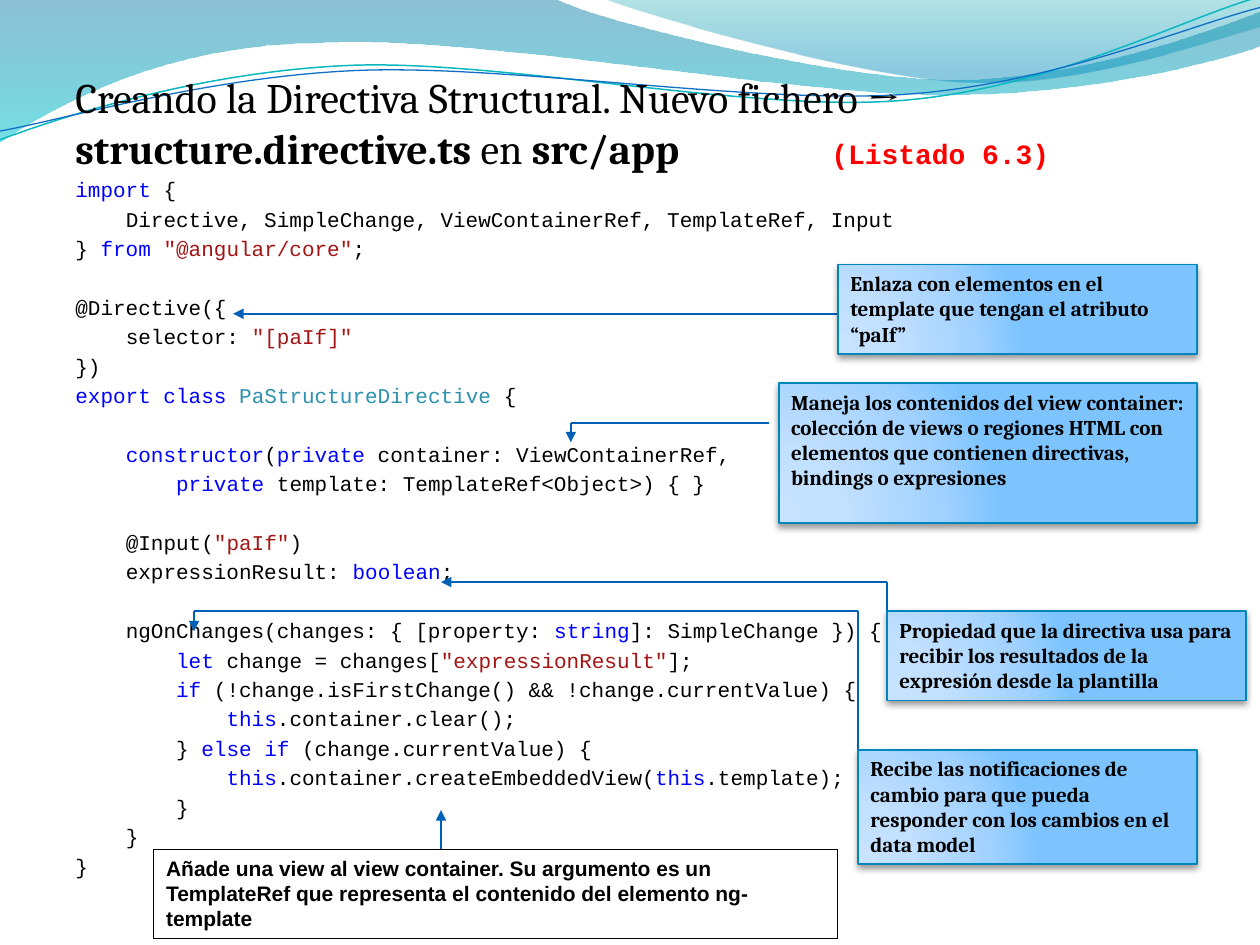
from itertools import pairwise

from pptx import Presentation
from pptx.dml.color import RGBColor
from pptx.enum.shapes import MSO_CONNECTOR, MSO_SHAPE
from pptx.enum.text import MSO_ANCHOR, PP_ALIGN
from pptx.oxml import parse_xml
from pptx.oxml.ns import nsdecls, qn
from pptx.util import Inches, Pt

COLORS = {
    "text": "000000", "keyword": "0000FF", "string": "A31515",
    "type": "2B91AF", "listing": "FF0000", "arrow": "0060B6",
    "callout": "0086BA", "teal": "0AB8BF", "blue": "0F6FC6",
}
NOTE_FILL = [(0, "C7E3FF", 100), (30, "C2E0FF", 100), (75, "A0D1FF", 100), (100, "7DC4FF", 100)]
NOTE_PATH = '<a:path path="circle"><a:fillToRect l="5000" t="100000" r="120000" b="10000"/></a:path>'
VERTICAL = '<a:lin ang="5400000" scaled="0"/>'
NOTE_SHADOW = (
    '<a:outerShdw blurRad="50800" dist="25400" dir="5400000" rotWithShape="0">'
    '<a:srgbClr val="000000"><a:alpha val="40000"/></a:srgbClr></a:outerShdw>'
)
WAVES = [
    ([(0, -0.01), (4.4, -0.01), (4.76, 0.17), (6.64, 0.63), (7.58, 0.63), (8.53, 0.63),
      (9.58, 0.26), (10, 0.09), (10.01, 0.36), (9.83, 0.44), (8.7, 0.76), (7.46, 0.75),
      (6.22, 0.75), (3.82, 0.28), (2.57, 0.34), (1.29, 0.35), (0.46, 0.83), (-0.01, 1.13)],
     "LCCLCCC", [(0, "0074A1", 45), (100, "00C6CF", 55)]),
    ([(4.79, -0.01), (5.09, 0.11), (6.82, 0.62), (7.69, 0.65), (8.56, 0.69), (9.61, 0.32),
      (10, 0.21), (10, 0)], "CCL", [(0, "00A1A9", 30), (80, "008BBF", 45)]),
]
STRANDS = [
    ([(0, 1.11), (0.48, 0.93), (1.58, 0.57), (2.77, 0.52), (3.95, 0.47), (5.93, 0.89),
      (7.13, 0.8), (8.33, 0.71), (9.38, 0.15), (9.98, -0.02)], "teal", 0.85),
    ([(0, 1.04), (0.47, 0.96), (1.64, 0.61), (2.83, 0.56), (4.03, 0.51), (5.97, 0.83),
      (7.17, 0.75), (8.36, 0.67), (9.41, 0.21), (10, 0.06)], "blue", 0.75),
]
HEADING = [
    ("Creando la Directiva Structural. Nuevo fichero → ", {}),
    ("structure.directive.ts ", {"bold": True}),
    ("en ", {}),
    ("src/app\t\t", {"bold": True}),
    ("(Listado 6.3)", {"bold": True, "size": Pt(16), "name": "Courier New", "color": "listing"}),
]
HEADING_TABS = (5, 6)
K, S, T = "keyword", "string", "type"
CODE_BLOCKS = [
    [(0, [("import", K), " {"]),
     (1, ["Directive, SimpleChange, ViewContainerRef, TemplateRef, Input"]),
     (0, ["} ", ("from ", K), ('"@angular/core"', S), ";"])],
    [(0, ["@Directive({"]),
     (1, ["selector: ", ('"[paIf]"', S)]),
     (0, ["})"]),
     (0, [("export class ", K), ("PaStructureDirective", T), " {"])],
    [(1, [("constructor", K), "(", ("private", K), " container: ViewContainerRef,"]),
     (2, [("private ", K), "template: TemplateRef<Object>) { }"])],
    [(1, ["@Input(", ('"paIf"', S), ")"]),
     (1, ["expressionResult: ", ("boolean", K), ";"])],
    [(1, ["ngOnChanges(changes: { [property: ", ("string", K), "]: SimpleChange }) {"]),
     (2, [("let ", K), "change = changes[", ('"expressionResult"', S), "];"]),
     (2, [("if", K), " (!change.isFirstChange() && !change.currentValue) {"]),
     (3, [("this", K), ".container.clear();"]),
     (2, ["} ", ("else if", K), " (change.currentValue) {"]),
     (3, [("this", K), ".container.createEmbeddedView(", ("this", K), ".template);"]),
     (2, ["}"]),
     (1, ["}"]),
     (0, ["}"])],
]
NOTES = [
    ((6.65, 2.1, 2.85, 0.71), "Enlaza con elementos en el template que tengan el atributo “paIf”"),
    ((7.04, 4.85, 2.85, 0.71),
     "Propiedad que la directiva usa para recibir los resultados de la expresión desde la plantilla"),
    ((6.81, 5.95, 2.69, 0.91),
     "Recibe las notificaciones de cambio para que pueda responder con los cambios en el data model"),
    ((6.18, 3.04, 3.32, 1.11),
     "Maneja los contenidos del view container: colección de views o regiones HTML con elementos "
     "que contienen directivas, bindings o expresiones"),
]
VIEW_NOTE = ((1.22, 6.74, 5.43, 0.71),
             "Añade una view al view container. Su argumento es un TemplateRef que representa "
             "el contenido del elemento ng-template")
ARROWS = [
    [(6.65, 2.49), (1.85, 2.49)],
    [(7.04, 4.93), (7.04, 4.62), (3.5, 4.62)],
    [(6.81, 5.95), (6.81, 4.85), (1.54, 4.85), (1.54, 5.01)],
    [(6.1, 3.36), (4.53, 3.36), (4.53, 3.51)],
    [(3.5, 6.74), (3.5, 6.43)],
]


def rgb(name):
    return RGBColor.from_string(COLORS[name])


def add_run(paragraph, text, color="text", **formats):
    run = paragraph.add_run()
    run.text = text
    run.font.color.rgb = rgb(color)
    for attribute, value in formats.items():
        setattr(run.font, attribute, value)


def set_gradient(shape, stops, direction):
    shape.fill.background()
    stop_xml = "".join(
        f'<a:gs pos="{pos * 1000}"><a:srgbClr val="{color}"><a:alpha val="{alpha * 1000}"/></a:srgbClr></a:gs>'
        for pos, color, alpha in stops)
    gradient = parse_xml(f'<a:gradFill {nsdecls("a")}><a:gsLst>{stop_xml}</a:gsLst>{direction}</a:gradFill>')
    properties = shape._element.spPr
    properties.replace(properties.find(qn("a:noFill")), gradient)


def set_effects(shape, effects=""):
    shape._element.spPr.append(parse_xml(f'<a:effectLst {nsdecls("a")}>{effects}</a:effectLst>'))


def bend_outline(shape, segments):
    lines = iter(list(shape._element.iter(qn("a:lnTo"))))
    for segment in segments:
        line = next(lines)
        if segment == "C":
            curve = parse_xml(f'<a:cubicBezTo {nsdecls("a")}/>')
            line.addprevious(curve)
            for control in (line, next(lines), next(lines)):
                curve.append(control[0])
                control.getparent().remove(control)


def draw_waves(slide, left, top):
    def add_outline(points, segments, close):
        outline = [(left + Inches(x), top + Inches(y)) for x, y in points]
        builder = slide.shapes.build_freeform(*outline[0])
        builder.add_line_segments(outline[1:], close=close)
        shape = builder.convert_to_shape()
        bend_outline(shape, segments)
        shape.shadow.inherit = False
        return shape

    for points, segments, stops in WAVES:
        wave = add_outline(points, segments, True)
        wave.line.fill.background()
        set_gradient(wave, stops, VERTICAL)
    for points, color, width in STRANDS:
        strand = add_outline(points, "CCC", False)
        strand.fill.background()
        strand.line.color.rgb = rgb(color)
        strand.line.width = Pt(width)


def draw_listing(slide, left, top, width, height):
    frame = slide.shapes.add_textbox(left, top, width, height).text_frame
    frame.word_wrap = True
    heading = frame.paragraphs[0]
    tabs = "".join(f'<a:tab pos="{Inches(stop)}" algn="l"/>' for stop in HEADING_TABS)
    heading._p.get_or_add_pPr().append(parse_xml(f'<a:tabLst {nsdecls("a")}>{tabs}</a:tabLst>'))
    for text, formats in HEADING:
        add_run(heading, text, **{"size": Pt(24), "name": "Cambria", **formats})
    for block_index, block in enumerate(CODE_BLOCKS):
        for line_index, (level, pieces) in enumerate(block):
            line = frame.add_paragraph()
            line.space_before = Pt(19.2 if block_index and not line_index else 2.4)
            line._p.get_or_add_pPr().set("marL", str(Inches(0.4 * level)))
            for piece in pieces:
                text, color = (piece, "text") if isinstance(piece, str) else piece
                add_run(line, text, color, size=Pt(12), name="Courier New")


def draw_note(slide, box, text, font, border, border_width):
    note = slide.shapes.add_shape(MSO_SHAPE.RECTANGLE, *box)
    note.fill.background()
    note.line.color.rgb = rgb(border)
    note.line.width = Pt(border_width)
    frame = note.text_frame
    frame.word_wrap = True
    frame.vertical_anchor = MSO_ANCHOR.TOP
    frame.paragraphs[0].alignment = PP_ALIGN.LEFT
    add_run(frame.paragraphs[0], text, size=Pt(12), name=font, bold=True)
    return note


def draw_arrow(slide, left, top, corners):
    points = [(left + Inches(x), top + Inches(y)) for x, y in corners]
    for start, end in pairwise(points):
        segment = slide.shapes.add_connector(MSO_CONNECTOR.STRAIGHT, *start, *end)
        segment.line.color.rgb = rgb("arrow")
        segment.line.width = Pt(1)
        set_effects(segment)
    segment.line._get_or_add_ln().append(parse_xml(f'<a:tailEnd {nsdecls("a")} type="triangle"/>'))


def draw_annotations(slide, left, top):
    def place(x, y, width, height):
        return left + Inches(x), top + Inches(y), Inches(width), Inches(height)

    for corners in ARROWS:
        draw_arrow(slide, left, top, corners)
    for box, text in NOTES:
        note = draw_note(slide, place(*box), text, "Cambria", "callout", 1)
        set_gradient(note, NOTE_FILL, NOTE_PATH)
        set_effects(note, NOTE_SHADOW)
    box, text = VIEW_NOTE
    set_effects(draw_note(slide, place(*box), text, "Arial", "text", 0.75))


def main():
    deck = Presentation()
    deck.slide_width, deck.slide_height = Inches(10), Inches(7.5)
    slide = deck.slides.add_slide(deck.slide_layouts[6])
    draw_waves(slide, Inches(0), Inches(0))
    draw_listing(slide, Inches(0.5), Inches(0.52), Inches(9), Inches(6.4))
    draw_annotations(slide, Inches(0), Inches(0))
    deck.save("out.pptx")


if __name__ == "__main__":
    main()
